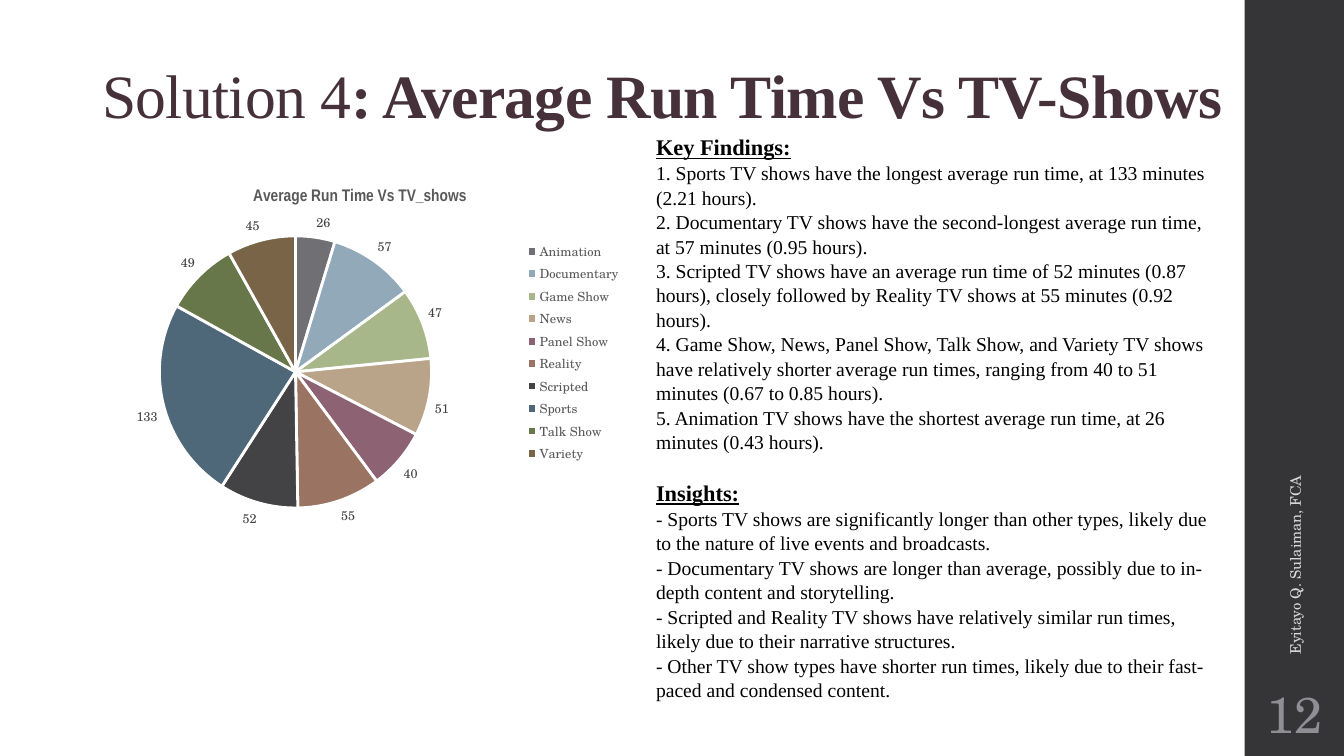
from lxml.etree import SubElement
from pptx import Presentation
from pptx.chart.data import CategoryChartData
from pptx.dml.color import RGBColor
from pptx.enum.chart import XL_CHART_TYPE as CT, XL_LABEL_POSITION as LP, XL_LEGEND_POSITION as LEG
from pptx.enum.shapes import MSO_SHAPE as SHAPE
from pptx.enum.text import MSO_ANCHOR as ANCHOR, PP_ALIGN as ALIGN
from pptx.oxml.ns import qn
from pptx.util import Pt

SERIF = "Times New Roman"
SCHOLA = "TeX Gyre Schola"

RUN_TIMES = [
    ("Animation", 26, "6F6F74"),
    ("Documentary", 57, "92A9B9"),
    ("Game Show", 47, "A7B789"),
    ("News", 51, "B9A489"),
    ("Panel Show", 40, "8D6374"),
    ("Reality", 55, "9B7362"),
    ("Scripted", 52, "434346"),
    ("Sports", 133, "4E6779"),
    ("Talk Show", 49, "677749"),
    ("Variety", 45, "796448"),
]

FINDINGS = [
    "1. Sports TV shows have the longest average run time, at 133 minutes (2.21 hours).",
    "2. Documentary TV shows have the second-longest average run time, at 57 minutes (0.95 hours).",
    "3. Scripted TV shows have an average run time of 52 minutes (0.87 hours), closely followed by "
    "Reality TV shows at 55 minutes (0.92 hours).",
    "4. Game Show, News, Panel Show, Talk Show, and Variety TV shows have relatively shorter average "
    "run times, ranging from 40 to 51 minutes (0.67 to 0.85 hours).",
    "5. Animation TV shows have the shortest average run time, at 26 minutes (0.43 hours).",
]

INSIGHTS = [
    "- Sports TV shows are significantly longer than other types, likely due to the nature of live "
    "events and broadcasts.",
    "- Documentary TV shows are longer than average, possibly due to in-depth content and storytelling.",
    "- Scripted and Reality TV shows have relatively similar run times, likely due to their narrative "
    "structures.",
    "- Other TV show types have shorter run times, likely due to their fast-paced and condensed content.",
]


def rgb(value):
    return RGBColor.from_string(value)


def set_font(font, name, size, color, bold=False):
    font.name = name
    font.size = Pt(size)
    font.color.rgb = rgb(color)
    font.bold = bold


def add_box(s, x, y, w, h, anchor=ANCHOR.TOP):
    sp = s.shapes.add_textbox(Pt(x), Pt(y), Pt(w), Pt(h))
    sp.text_frame.word_wrap = True
    sp.text_frame.vertical_anchor = anchor
    return sp


def add_label(s, x, y, w, h, text, size, color, align=ALIGN.LEFT):
    sp = add_box(s, x, y, w, h, ANCHOR.MIDDLE)
    p = sp.text_frame.paragraphs[0]
    p.text = text
    p.alignment = align
    set_font(p.font, SCHOLA, size, color)
    return sp


def add_sidebar(s):
    sp = s.shapes.add_shape(SHAPE.RECTANGLE, Pt(889), Pt(0), Pt(71), Pt(540))
    sp.shadow.inherit = False
    sp.fill.solid()
    sp.fill.fore_color.rgb = rgb("353537")
    sp.line.fill.background()
    author = add_label(s, 784, 319, 282, 29, "Eyitayo Q. Sulaiman, FCA", 10.5, "D9D9DB")
    author.rotation = 270
    add_label(s, 889, 486, 72, 47, "12", 36, "8E8E94", ALIGN.CENTER)


def add_title(s):
    tf = add_box(s, 66, 29, 825, 69, ANCHOR.BOTTOM).text_frame
    p = tf.paragraphs[0]
    p.line_spacing = 0.9
    set_font(p.font, SERIF, 44, "46313A")
    for text, bold in (("Solution 4", False), (": Average Run Time Vs TV-Shows", True)):
        r = p.add_run()
        r.text = text
        r.font.bold = bold
        r.font._element.set("spc", "-50")


def place(element, index, **fractions):
    for old in element.findall(qn("c:layout")):
        element.remove(old)
    layout = SubElement(element, qn("c:layout"))
    element.insert(index, layout)
    manual = SubElement(layout, qn("c:manualLayout"))
    if element.tag == qn("c:plotArea"):
        SubElement(manual, qn("c:layoutTarget")).set("val", "inner")
    for axis in "xy":
        SubElement(manual, qn(f"c:{axis}Mode")).set("val", "edge")
    for name, value in fractions.items():
        SubElement(manual, qn(f"c:{name}")).set("val", str(value))


def add_pie(s):
    names, minutes, colors = zip(*RUN_TIMES)
    data = CategoryChartData()
    data.categories = names
    data.add_series("Series 1", minutes)
    chart = s.shapes.add_chart(CT.PIE, Pt(45), Pt(112), Pt(405), Pt(277), data).chart
    set_font(chart.font, SCHOLA, 10, "000000")

    chart.has_title = True
    p = chart.chart_title.text_frame.paragraphs[0]
    p.text = "Average Run Time Vs TV_shows"
    set_font(p.font, "Arial Narrow", 12, "595959", True)

    chart.has_legend = True
    chart.legend.position = LEG.RIGHT
    chart.legend.include_in_layout = False
    set_font(chart.legend.font, SCHOLA, 9, "595959")

    plot = chart.plots[0]
    plot.vary_by_categories = True
    plot.has_data_labels = True
    labels = plot.data_labels
    labels.show_value = True
    labels.show_percentage = False
    labels.position = LP.OUTSIDE_END
    labels.number_format = "#,##0"
    labels.number_format_is_linked = False
    set_font(labels.font, SCHOLA, 9, "404040")

    for i, color in enumerate(colors):
        fmt = plot.series[0].points[i].format
        fmt.fill.solid()
        fmt.fill.fore_color.rgb = rgb(color)
        fmt.line.color.rgb = rgb("FFFFFF")
        fmt.line.width = Pt(2)

    place(chart.chart_title._element, 1, x=0.33, y=0.07)
    place(chart.legend._element, 1, x=0.81, y=0.21, w=0.18, h=0.59)
    place(chart._chartSpace.chart.plotArea, 0, x=0.17, y=0.2, w=0.48, h=0.71)


def add_notes(s):
    tf = add_box(s, 461.5, 91, 411, 385).text_frame
    p = tf.paragraphs[0]
    for heading, points in (("Key Findings:", FINDINGS), ("Insights:", INSIGHTS)):
        if p.text:
            p = tf.add_paragraph()
            p.space_before = Pt(17.5)
        p.text = heading
        p.line_spacing = 1.04
        p.font.underline = True
        set_font(p.font, SERIF, 16, "000000", True)
        for point in points:
            p = tf.add_paragraph()
            p.text = point
            p.line_spacing = 1.04
            set_font(p.font, SERIF, 14, "000000")


def main():
    prs = Presentation()
    prs.slide_width = Pt(960)
    prs.slide_height = Pt(540)
    s = prs.slides.add_slide(prs.slide_layouts[6])
    add_sidebar(s)
    add_title(s)
    add_pie(s)
    add_notes(s)
    prs.save("out.pptx")


if __name__ == "__main__":
    main()
